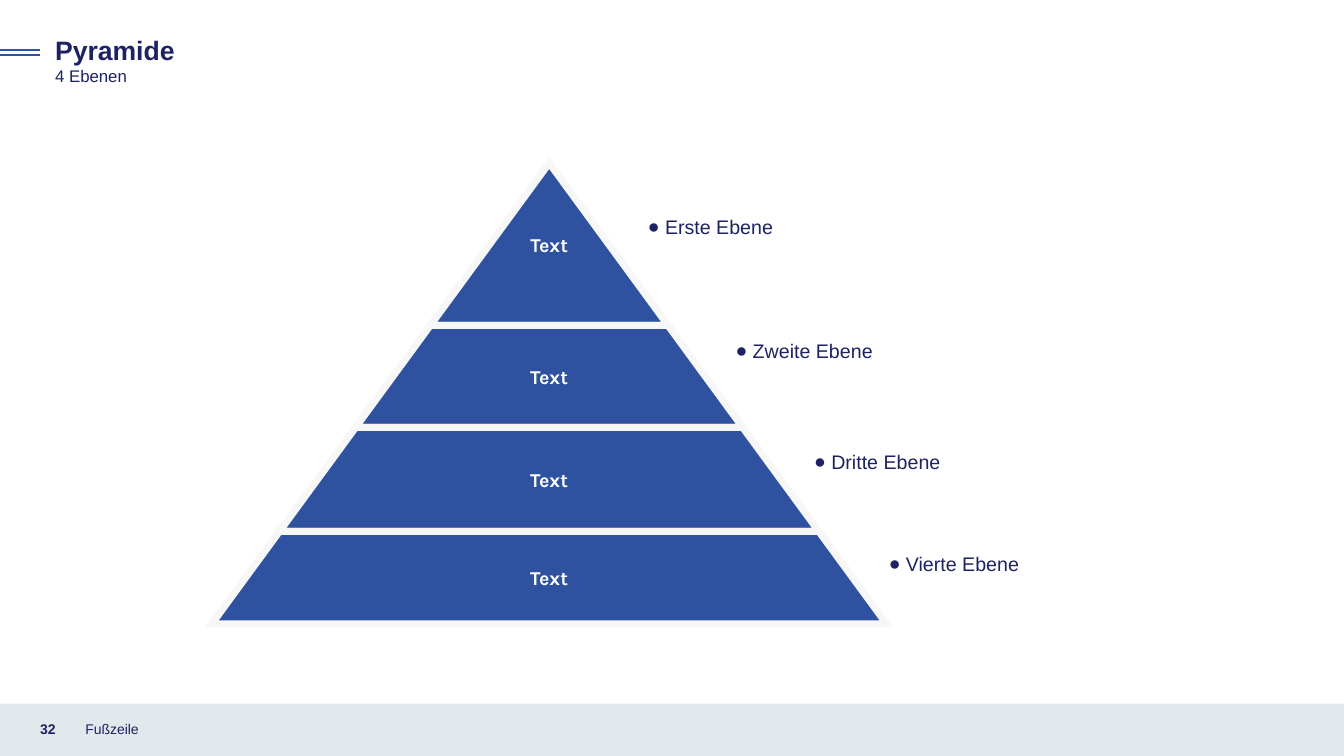
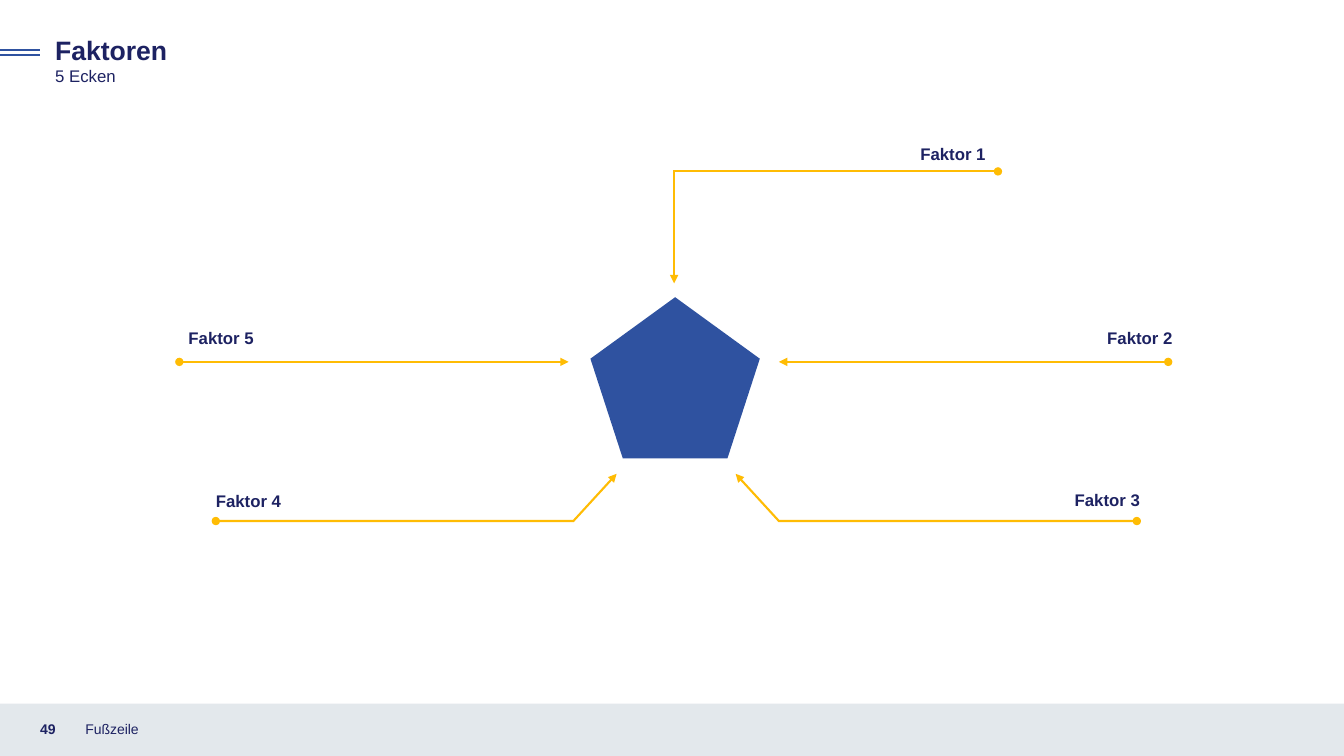
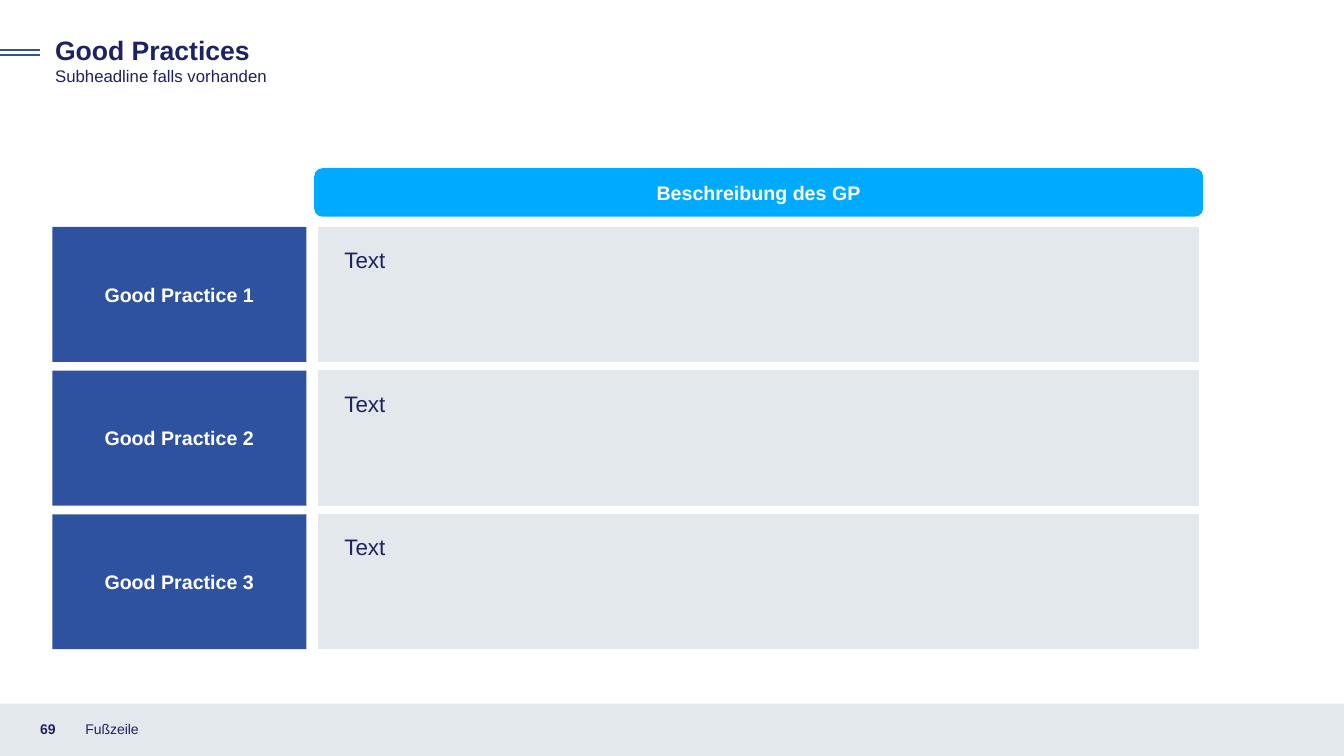
from dataclasses import dataclass
from typing import NamedTuple, Optional

from lxml.etree import SubElement
from pptx import Presentation
from pptx.dml.color import RGBColor
from pptx.enum.shapes import MSO_CONNECTOR, MSO_SHAPE
from pptx.enum.text import MSO_ANCHOR, PP_ALIGN
from pptx.oxml.ns import qn
from pptx.util import Cm, Pt


@dataclass(frozen=True)
class Theme:
    navy: str = "1D2262"
    blue: str = "2F52A0"
    sky: str = "00AAFF"
    yellow: str = "FFBC04"
    grey: str = "E3E8EC"
    off_white: str = "F7F7F7"
    white: str = "FFFFFF"
    font: str = "Arial"
    pyramid_font: str = "Karla"
    title: float = 19
    body: float = 16
    label: float = 14
    small: float = 12
    footer: float = 10
    rule: float = 1.5
    pyramid_line: float = 5
    row_line: float = 6


T = Theme()


class Box(NamedTuple):
    """Left, top, width and height in centimetres."""
    left: float
    top: float
    width: float
    height: float

    def lengths(self) -> list:
        return [Cm(v) for v in self]


class Point(NamedTuple):
    x: float
    y: float


class Outline(NamedTuple):
    color: str
    width: float


@dataclass(frozen=True)
class TextStyle:
    size: float
    color: str = T.navy
    bold: bool = False
    font: str = T.font
    align: PP_ALIGN = PP_ALIGN.LEFT
    anchor: MSO_ANCHOR = MSO_ANCHOR.TOP


@dataclass(frozen=True)
class Level:
    bottom: float
    note: str
    note_at: Point


@dataclass(frozen=True)
class Factor:
    """A label and its arrow, which runs from the tip to the dot."""
    name: str
    label_at: Point
    align: PP_ALIGN
    points: tuple


TITLE = TextStyle(T.title, bold=True)
SUBTITLE = TextStyle(T.small)
PAGE = TextStyle(T.footer, bold=True, anchor=MSO_ANCHOR.MIDDLE)
FOOTER = TextStyle(T.footer, anchor=MSO_ANCHOR.MIDDLE)
NOTE = TextStyle(T.label)
BODY = TextStyle(T.body)
BLOCK = TextStyle(T.label, T.white, True, align=PP_ALIGN.CENTER, anchor=MSO_ANCHOR.MIDDLE)
LEVEL = TextStyle(T.label, T.white, True, T.pyramid_font, PP_ALIGN.CENTER, MSO_ANCHOR.MIDDLE)

APEX = Point(13.84, 4.11)
HALF_BASE = 8.5
LEVELS = (
    Level(8.2, "Erste Ebene", Point(16.33, 5.41)),
    Level(10.77, "Zweite Ebene", Point(18.54, 8.53)),
    Level(13.39, "Dritte Ebene", Point(20.52, 11.33)),
    Level(15.72, "Vierte Ebene", Point(22.4, 13.92)),
)

LABEL_WIDTH = 8.59
FACTORS = (
    Factor("Faktor 1", Point(24.84, 3.61), PP_ALIGN.RIGHT,
           (Point(16.99, 7.14), Point(16.99, 4.32), Point(25.15, 4.32))),
    Factor("Faktor 2", Point(29.55, 8.26), PP_ALIGN.RIGHT,
           (Point(19.63, 9.12), Point(29.44, 9.12))),
    Factor("Faktor 3", Point(28.73, 12.34), PP_ALIGN.RIGHT,
           (Point(18.54, 11.94), Point(19.63, 13.13), Point(28.65, 13.13))),
    Factor("Faktor 4", Point(5.44, 12.37), PP_ALIGN.LEFT,
           (Point(15.54, 11.94), Point(14.45, 13.13), Point(5.44, 13.13))),
    Factor("Faktor 5", Point(4.75, 8.26), PP_ALIGN.LEFT,
           (Point(14.33, 9.12), Point(4.52, 9.12))),
)

PRACTICES = ("Good Practice 1", "Good Practice 2", "Good Practice 3")
ROW_PITCH = 3.62


def set_text(sp, text: str, style: TextStyle, margins: Optional[tuple] = None) -> None:
    """Margins are horizontal and vertical, in centimetres."""
    tf = sp.text_frame
    tf.word_wrap = True
    tf.vertical_anchor = style.anchor
    if margins is not None:
        tf.margin_left = tf.margin_right = Cm(margins[0])
        tf.margin_top = tf.margin_bottom = Cm(margins[1])
    tf.text = text
    p = tf.paragraphs[0]
    p.alignment = style.align
    font = p.runs[0].font
    font.name, font.size, font.bold = style.font, Pt(style.size), style.bold
    font.color.rgb = RGBColor.from_string(style.color)


def add_text(s, box: Box, text: str, style: TextStyle, margins: Optional[tuple] = None):
    sp = s.shapes.add_textbox(*box.lengths())
    set_text(sp, text, style, margins)
    return sp


def set_outline(sp, outline: Outline) -> None:
    sp.line.color.rgb = RGBColor.from_string(outline.color)
    sp.line.width = Pt(outline.width)
    ln = sp.element.spPr.find(qn("a:ln"))
    SubElement(ln, qn("a:miter"), lim="800000")


def paint(sp, fill: Optional[str], outline: Optional[Outline] = None) -> None:
    sp.shadow.inherit = False
    if fill:
        sp.fill.solid()
        sp.fill.fore_color.rgb = RGBColor.from_string(fill)
    else:
        sp.fill.background()
    if outline:
        set_outline(sp, outline)
    else:
        sp.line.fill.background()


def add_block(s, kind: MSO_SHAPE, box: Box, fill: str, outline: Optional[Outline] = None):
    sp = s.shapes.add_shape(kind, *box.lengths())
    paint(sp, fill, outline)
    return sp


def add_line(s, start: Point, end: Point, outline: Outline):
    sp = s.shapes.add_connector(MSO_CONNECTOR.STRAIGHT, *[Cm(v) for v in (*start, *end)])
    set_outline(sp, outline)
    SubElement(sp.element.spPr, qn("a:effectLst"))
    return sp


def add_outline(s, points: tuple, fill: Optional[str], outline: Outline, close: bool):
    first, *rest = [(Cm(p.x), Cm(p.y)) for p in points]
    builder = s.shapes.build_freeform(*first)
    builder.add_line_segments(rest, close=close)
    sp = builder.convert_to_shape()
    paint(sp, fill, outline)
    return sp


def add_arrow(s, points: tuple) -> None:
    outline = Outline(T.yellow, T.rule)
    if len(points) == 2:
        sp = add_line(s, *points, outline)
    else:
        sp = add_outline(s, points, None, outline, close=False)
    ln = sp.element.spPr.find(qn("a:ln"))
    SubElement(ln, qn("a:headEnd"), type="triangle")
    SubElement(ln, qn("a:tailEnd"), type="oval")


def add_bullet(p, indent: float) -> None:
    pPr = p._p.get_or_add_pPr()
    pPr.set("marL", str(Cm(indent)))
    pPr.set("indent", str(-Cm(indent)))
    SubElement(pPr, qn("a:buFont"), typeface=T.font)
    SubElement(pPr, qn("a:buChar"), char="●")


def add_framed_slide(prs, title: str, subtitle: str, page: int):
    """Add a blank slide with the heading, its double rule and the footer."""
    s = prs.slides.add_slide(prs.slide_layouts[6])
    add_block(s, MSO_SHAPE.RECTANGLE, Box(0, 17.73, 33.87, 1.32), T.grey)
    add_text(s, Box(0.76, 17.86, 1.14, 1.02), str(page), PAGE)
    add_text(s, Box(1.9, 17.86, 11.43, 1.02), "Fußzeile", FOOTER)
    add_text(s, Box(1.14, 0.74, 19.61, 1.07), title, TITLE)
    add_text(s, Box(1.14, 1.52, 8.79, 0.76), subtitle, SUBTITLE)
    for y in (1.25, 1.38):
        add_line(s, Point(0, y), Point(1, y), Outline(T.blue, T.rule))
    return s


def build_pyramid(prs) -> None:
    s = add_framed_slide(prs, "Pyramide", "4 Ebenen", 32)
    slope = HALF_BASE / (LEVELS[-1].bottom - APEX.y)
    top = APEX.y
    for level in LEVELS:
        upper, lower = (slope * (y - APEX.y) for y in (top, level.bottom))
        corners = [Point(APEX.x - lower, level.bottom), Point(APEX.x + lower, level.bottom),
                   Point(APEX.x + upper, top)]
        if upper:
            corners.append(Point(APEX.x - upper, top))
        sp = add_outline(s, tuple(corners), T.blue, Outline(T.off_white, T.pyramid_line), True)
        set_text(sp, "Text", LEVEL, (0.2, 0))
        top = level.bottom
    for level in LEVELS:
        note = add_text(s, Box(*level.note_at, 10.62, 0.6), level.note, NOTE, (0, 0))
        add_bullet(note.text_frame.paragraphs[0], 0.43)


def build_factors(prs) -> None:
    s = add_framed_slide(prs, "Faktoren", "5 Ecken", 49)
    add_block(s, MSO_SHAPE.REGULAR_PENTAGON, Box(14.88, 7.49, 4.27, 4.06), T.blue)
    for factor in FACTORS:
        x, y = factor.label_at
        left = x - LABEL_WIDTH if factor.align == PP_ALIGN.RIGHT else x
        style = TextStyle(T.small, bold=True, align=factor.align, anchor=MSO_ANCHOR.MIDDLE)
        add_text(s, Box(left, y, LABEL_WIDTH, 0.51), factor.name, style, (0, 0))
        add_arrow(s, factor.points)


def build_practices(prs) -> None:
    s = add_framed_slide(prs, "Good Practices", "Subheadline falls vorhanden", 69)
    header = add_block(s, MSO_SHAPE.ROUNDED_RECTANGLE, Box(7.92, 4.24, 22.4, 1.22), T.sky)
    set_text(header, "Beschreibung des GP", BLOCK)
    for i, practice in enumerate(PRACTICES):
        offset = i * ROW_PITCH
        add_block(s, MSO_SHAPE.RECTANGLE, Box(7.9, 5.61 + offset, 22.43, ROW_PITCH),
                  T.grey, Outline(T.white, T.row_line))
        add_text(s, Box(8.43, 6.08 + offset, 13.69, 0.94), "Text", BODY)
        label = add_block(s, MSO_SHAPE.RECTANGLE, Box(1.32, 5.72 + offset, 6.4, 3.4), T.blue)
        set_text(label, practice, BLOCK)


def main() -> None:
    prs = Presentation()
    prs.slide_width, prs.slide_height = Cm(33.87), Cm(19.05)
    build_pyramid(prs)
    build_factors(prs)
    build_practices(prs)
    prs.save("out.pptx")


if __name__ == "__main__":
    main()
